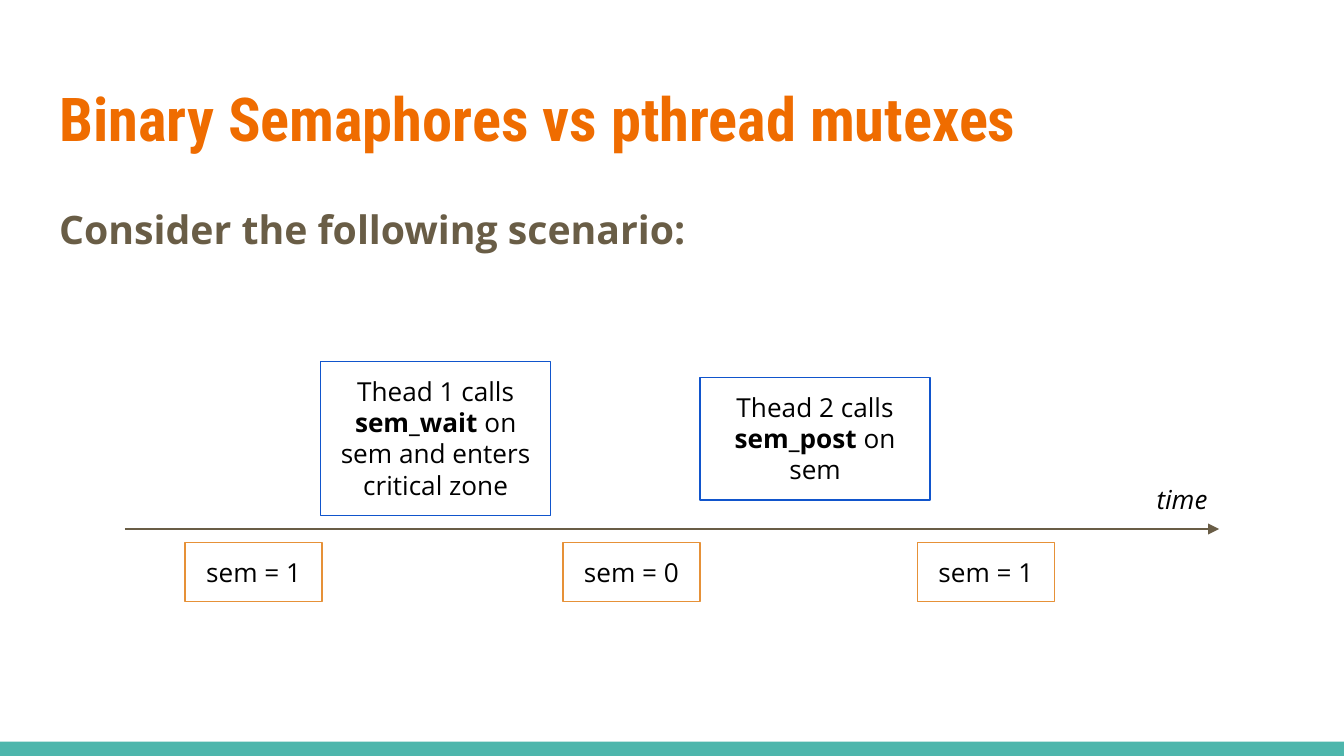
import pptx
import pptx.dml.color
import pptx.enum.shapes
import pptx.enum.text
import pptx.oxml
import pptx.oxml.ns
import pptx.util
from pptx.util import Cm

INSET = Cm(0.25)


def colour(value):
    return pptx.dml.color.RGBColor.from_string(value)


def write(shape, parts, size, ink, font="Open Sans", align="LEFT", anchor="TOP"):
    """Fill a shape with one paragraph of (text, style) parts."""
    frame = shape.text_frame
    frame.word_wrap = True
    frame.margin_left = frame.margin_right = INSET
    frame.margin_top = frame.margin_bottom = INSET
    frame.vertical_anchor = getattr(pptx.enum.text.MSO_ANCHOR, anchor)
    para = frame.paragraphs[0]
    para.alignment = getattr(pptx.enum.text.PP_ALIGN, align)
    for text, style in parts:
        span = para.add_run()
        span.text = text
        span.font.name = font
        span.font.size = pptx.util.Pt(size)
        span.font.color.rgb = colour(ink)
        span.font.bold = style == "bold"
        span.font.italic = style == "italic"
    return para


deck = pptx.Presentation()
deck.slide_width = Cm(25.4)
deck.slide_height = Cm(14.29)
page = deck.slides.add_slide(deck.slide_layouts[5])
rectangle = pptx.enum.shapes.MSO_SHAPE.RECTANGLE
grow = pptx.enum.text.MSO_AUTO_SIZE.SHAPE_TO_FIT_TEXT

# Bottom band
band = page.shapes.add_shape(rectangle, 0, Cm(14.02), Cm(25.4), Cm(0.27))
band.shadow.inherit = False
band.fill.solid()
band.fill.fore_color.rgb = colour("4DB6AC")
band.line.fill.background()

# Title and lead sentence
title = page.shapes.title
title.left, title.top, title.width, title.height = Cm(0.87), Cm(1.25), Cm(23.67), Cm(1.95)
write(title, [("Binary Semaphores vs pthread mutexes", "bold")], 32.4, "EF6C00",
      font="Roboto Condensed", anchor="MIDDLE")
title.text_frame.auto_size = pptx.enum.text.MSO_AUTO_SIZE.NONE

lead = page.shapes.add_textbox(Cm(0.87), Cm(3.5), Cm(23.67), Cm(1.95))
para = write(lead, [("Consider the following scenario:", "bold")], 21, "695D46")
para.line_spacing = 1.15
para.space_after = pptx.util.Pt(12)

# Time axis
axis = page.shapes.add_connector(pptx.enum.shapes.MSO_CONNECTOR.STRAIGHT,
                                 Cm(2.36), Cm(10), Cm(23.04), Cm(10))
axis.line.color.rgb = colour("695D46")
axis.line.width = pptx.util.Pt(0.75)
arrowhead = pptx.oxml.parse_xml(
    f'<a:tailEnd {pptx.oxml.ns.nsdecls("a")} type="triangle" w="med" len="med"/>')
axis.line._get_or_add_ln().append(arrowhead)
axis._element.spPr.append(
    pptx.oxml.parse_xml(f'<a:effectLst {pptx.oxml.ns.nsdecls("a")}/>'))

# Thread calls above the axis, semaphore values below it
calls = [
    (6.06, 6.84, 4.35, 2.91, "1155CC",
     [("Thead 1 calls ", ""), ("sem_wait", "bold"), (" on sem and enters critical zone", "")]),
    (13.23, 7.14, 4.35, 2.31, "1155CC",
     [("Thead 2 calls ", ""), ("sem_post", "bold"), (" on sem", "")]),
]
values = [(left, 10.26, 2.59, 1.11, "E69138", [(text, "")])
          for left, text in [(3.5, "sem = 1"), (10.64, "sem = 0"), (17.34, "sem = 1")]]
for left, top, width, height, outline, parts in calls + values:
    box = page.shapes.add_shape(rectangle, Cm(left), Cm(top), Cm(width), Cm(height))
    box.shadow.inherit = False
    box.fill.background()
    box.line.color.rgb = colour(outline)
    box.line.width = pptx.util.Pt(0.75)
    write(box, parts, 14, "000000", align="CENTER")
    box.text_frame.auto_size = grow

# Axis label
label = page.shapes.add_textbox(Cm(21.41), Cm(8.89), Cm(1.86), Cm(1.11))
write(label, [("time", "italic")], 14, "000000", align="CENTER")
label.text_frame.auto_size = grow

deck.save("out.pptx")
